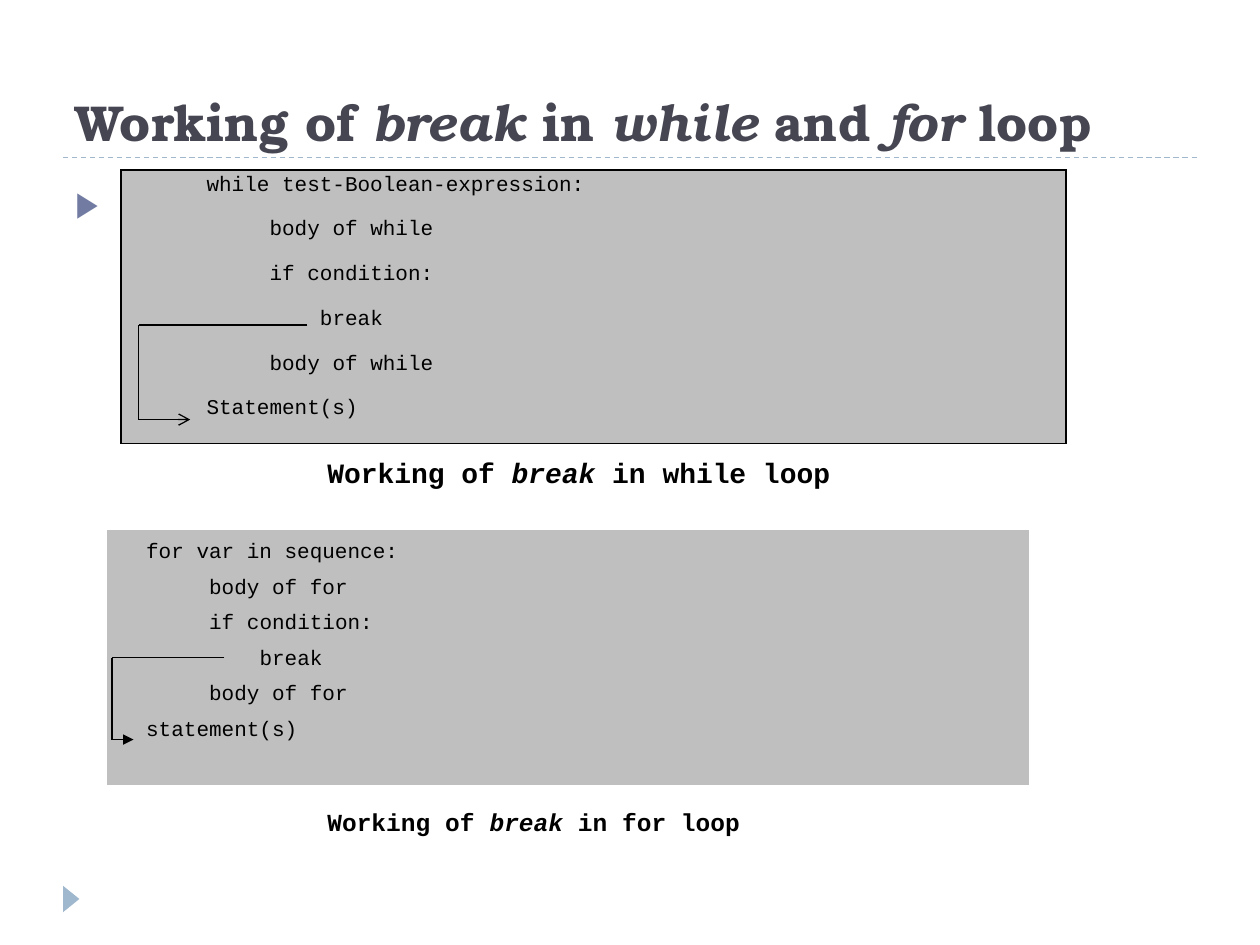
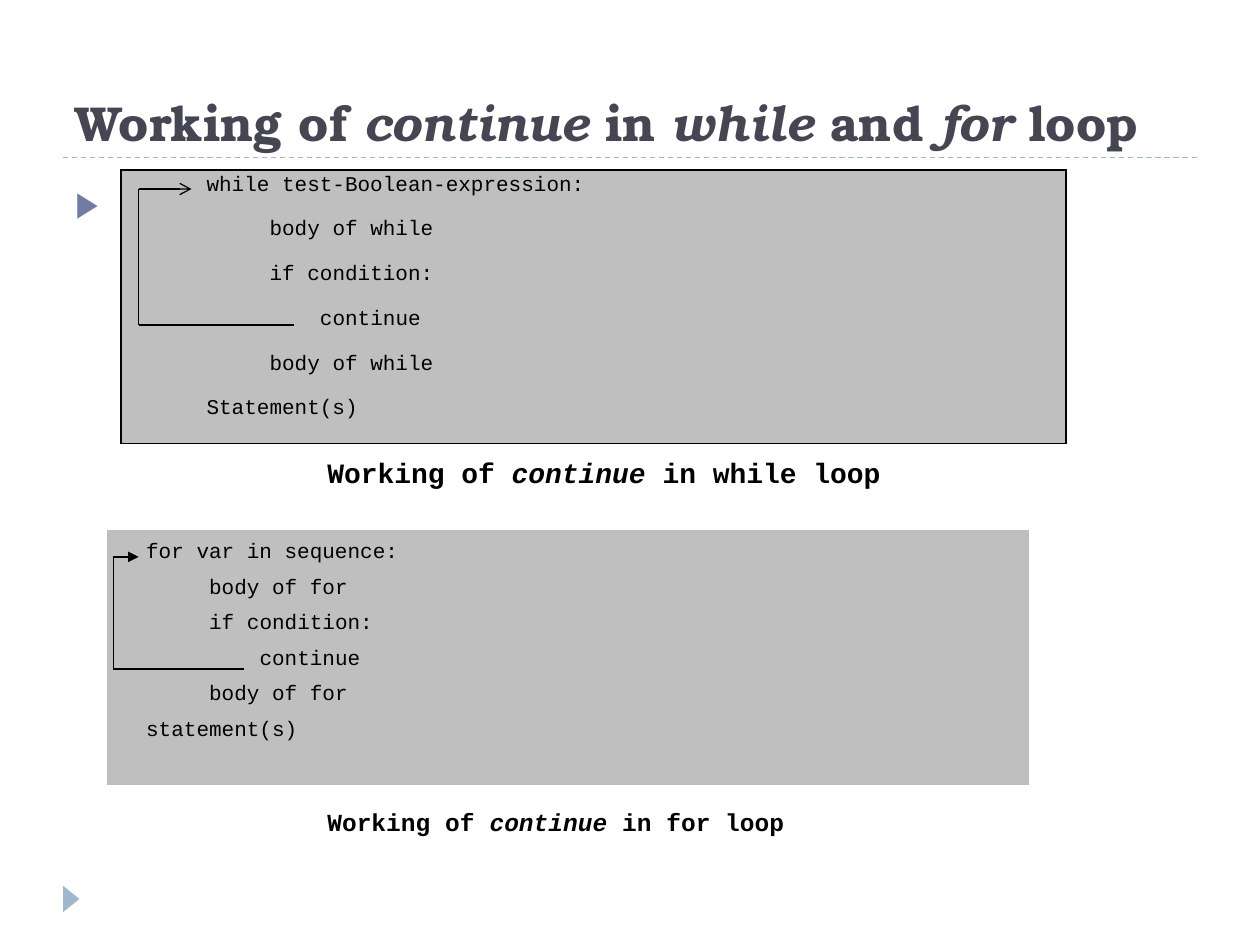
from dataclasses import dataclass

import pptx
import pptx.dml.color
import pptx.enum.dml
import pptx.enum.shapes
import pptx.enum.text
import pptx.oxml
import pptx.oxml.ns
import pptx.oxml.xmlchemy
import pptx.presentation
import pptx.shapes.connector
import pptx.slide
import pptx.table
import pptx.text.text
import pptx.util

Inches = pptx.util.Inches
Pt = pptx.util.Pt
Align = pptx.enum.text.PP_ALIGN
Anchor = pptx.enum.text.MSO_ANCHOR


@dataclass(frozen=True)
class Theme:
    title_font: str = "TeX Gyre Bonum"
    code_font: str = "Courier New"
    bullet_font: str = "Calibri"
    title_color: str = "464653"
    text_color: str = "000000"
    accent: str = "9FB8CD"
    bullet_color: str = "727CA3"
    panel: str = "BFBFBF"
    white: str = "FFFFFF"
    code_size: float = 12
    bullet_size: float = 20
    line_width: float = 0.75


@dataclass(frozen=True)
class TextStyle:
    font: str
    size: float
    color: str
    bold: bool = False


@dataclass(frozen=True)
class CodePanel:
    """A one-cell table that holds a loop; lengths in inches."""
    loop: str
    header: str
    closing: str
    left: float
    top: float
    width: float
    height: float
    inset: float
    indent: float
    line_spacing: float
    space_after: float
    border_color: str
    bottom_border: float
    caption_top: float
    caption_size: float
    arrowhead: str


@dataclass(frozen=True)
class Jump:
    """Path from the keyword, along the spine, to the target line."""
    start_x: float
    start_y: float
    spine_x: float
    target_x: float
    target_y: float


@dataclass(frozen=True)
class LoopSlide:
    keyword: str
    title_size: float
    jumps: tuple[Jump, Jump]


THEME = Theme()
CODE_STYLE = TextStyle(THEME.code_font, THEME.code_size, THEME.text_color)
BODY_INDENT = 0.5
KEYWORD_INDENT = 0.9

PANELS = (
    CodePanel("while", "while test-Boolean-expression:", "Statement(s)",
              0.96, 1.35, 7.5, 2.17, 0.12, 0.56, 1.15, 10,
              THEME.text_color, 1, 3.55, 16, "arrow"),
    CodePanel("for", "for var in sequence:", "statement(s)",
              0.84, 4.2, 7.33, 2.05, 0.07, 0.25, 1.5, 0,
              THEME.white, 3, 6.32, 14, "triangle"),
)

SLIDES = (
    LoopSlide("break", 28.8, (Jump(2.44, 2.58, 1.1, 1.51, 3.33),
                              Jump(1.78, 5.22, 0.89, 1.06, 5.87))),
    LoopSlide("continue", 28, (Jump(2.33, 2.58, 1.1, 1.52, 1.5),
                               Jump(1.94, 5.31, 0.9, 1.1, 4.42))),
)


def rgb(color: str) -> pptx.dml.color.RGBColor:
    return pptx.dml.color.RGBColor.from_string(color)


def write_runs(paragraph: pptx.text.text._Paragraph, text: str, style: TextStyle) -> None:
    """Write text, with the parts between asterisks in italics."""
    for index, part in enumerate(text.split("*")):
        run = paragraph.add_run()
        run.text = part
        run.font.name = style.font
        run.font.size = Pt(style.size)
        run.font.bold = style.bold
        run.font.italic = index % 2 == 1
        run.font.color.rgb = rgb(style.color)


def add_text(slide: pptx.slide.Slide, text: str, style: TextStyle, left: float, top: float,
             width: float, height: float, anchor: Anchor = Anchor.MIDDLE) -> None:
    text_frame = slide.shapes.add_textbox(
        Inches(left), Inches(top), Inches(width), Inches(height)).text_frame
    text_frame.word_wrap = True
    text_frame.vertical_anchor = anchor
    write_runs(text_frame.paragraphs[0], text, style)


def add_line(slide: pptx.slide.Slide, start: tuple[float, float], end: tuple[float, float],
             color: str = THEME.text_color, arrowhead: str = "") -> pptx.shapes.connector.Connector:
    connector = slide.shapes.add_connector(
        pptx.enum.shapes.MSO_CONNECTOR.STRAIGHT,
        *(Inches(value) for value in (*start, *end)))
    connector.line.color.rgb = rgb(color)
    connector.line.width = Pt(THEME.line_width)
    if arrowhead:
        tail = pptx.oxml.xmlchemy.OxmlElement("a:tailEnd")
        tail.set("type", arrowhead)
        connector.line._get_or_add_ln().append(tail)
    connector._element.spPr.append(pptx.oxml.xmlchemy.OxmlElement("a:effectLst"))
    return connector


def add_frame(slide: pptx.slide.Slide) -> None:
    """Draw the rule below the title and the footer marker."""
    rule = add_line(slide, (0.5, 1.25), (9.5, 1.25), THEME.accent)
    rule.line.dash_style = pptx.enum.dml.MSO_LINE.DASH
    marker = slide.shapes.add_shape(
        pptx.enum.shapes.MSO_SHAPE.ISOSCELES_TRIANGLE,
        Inches(0.46), Inches(7.07), Inches(0.21), Inches(0.13))
    marker.rotation = 90
    marker.shadow.inherit = False
    marker.fill.solid()
    marker.fill.fore_color.rgb = rgb(THEME.accent)
    marker.line.fill.background()


def set_borders(cell: pptx.table._Cell, color: str, bottom_width: float) -> None:
    properties = cell._tc.get_or_add_tcPr()
    widths = {"lnL": 1, "lnR": 1, "lnT": 1, "lnB": bottom_width}
    for position, (side, width) in enumerate(widths.items()):
        border = pptx.oxml.parse_xml(
            f'<a:{side} {pptx.oxml.ns.nsdecls("a")} w="{Pt(width)}"><a:solidFill>'
            f'<a:srgbClr val="{color}"/></a:solidFill></a:{side}>')
        properties.insert(position, border)


def add_code_panel(slide: pptx.slide.Slide, panel: CodePanel, keyword: str) -> None:
    table = slide.shapes.add_table(
        1, 1, Inches(panel.left), Inches(panel.top),
        Inches(panel.width), Inches(panel.height)).table
    table.first_row = table.horz_banding = False
    cell = table.cell(0, 0)
    cell.margin_left = cell.margin_right = Inches(panel.inset)
    cell.margin_top = cell.margin_bottom = 0
    cell.fill.solid()
    cell.fill.fore_color.rgb = rgb(THEME.panel)
    set_borders(cell, panel.border_color, panel.bottom_border)

    body = f"body of {panel.loop}"
    lines = ((panel.header, 0), (body, BODY_INDENT), ("if condition:", BODY_INDENT),
             (keyword, KEYWORD_INDENT), (body, BODY_INDENT), (panel.closing, 0))
    text_frame = cell.text_frame
    for index, (text, indent) in enumerate(lines):
        paragraph = text_frame.add_paragraph() if index else text_frame.paragraphs[0]
        paragraph.alignment = Align.JUSTIFY
        paragraph.line_spacing = panel.line_spacing
        paragraph.space_after = Pt(panel.space_after)
        paragraph._p.get_or_add_pPr().set("marL", str(Inches(panel.indent + indent)))
        write_runs(paragraph, text, CODE_STYLE)


def add_jump(slide: pptx.slide.Slide, jump: Jump, arrowhead: str) -> None:
    leave = (jump.spine_x, jump.start_y)
    arrive = (jump.spine_x, jump.target_y)
    add_line(slide, (jump.start_x, jump.start_y), leave)
    add_line(slide, leave, arrive)
    add_line(slide, arrive, (jump.target_x, jump.target_y), arrowhead=arrowhead)


def add_loop_slide(presentation: pptx.presentation.Presentation, content: LoopSlide) -> None:
    slide = presentation.slides.add_slide(presentation.slide_layouts[6])
    add_frame(slide)

    # Title and bullet
    title_style = TextStyle(THEME.title_font, content.title_size, THEME.title_color, True)
    add_text(slide, f"Working of *{content.keyword}* in *while* and *for* loop",
             title_style, 0.5, 0.17, 9, 1.08, Anchor.BOTTOM)
    bullet_style = TextStyle(THEME.bullet_font, THEME.bullet_size, THEME.bullet_color)
    add_text(slide, "▶", bullet_style, 0.5, 1.36, 0.45, 0.5)

    # Loops with their captions and jumps
    for panel, jump in zip(PANELS, content.jumps):
        add_code_panel(slide, panel, content.keyword)
        caption_style = TextStyle(THEME.code_font, panel.caption_size, THEME.text_color, True)
        add_text(slide, f"Working of *{content.keyword}* in {panel.loop} loop",
                 caption_style, 2.5, panel.caption_top, 7, 0.4)
        add_jump(slide, jump, panel.arrowhead)


def main() -> None:
    presentation = pptx.Presentation()
    presentation.slide_width = Inches(10)
    presentation.slide_height = Inches(7.5)
    for content in SLIDES:
        add_loop_slide(presentation, content)
    presentation.save("out.pptx")


if __name__ == "__main__":
    main()
